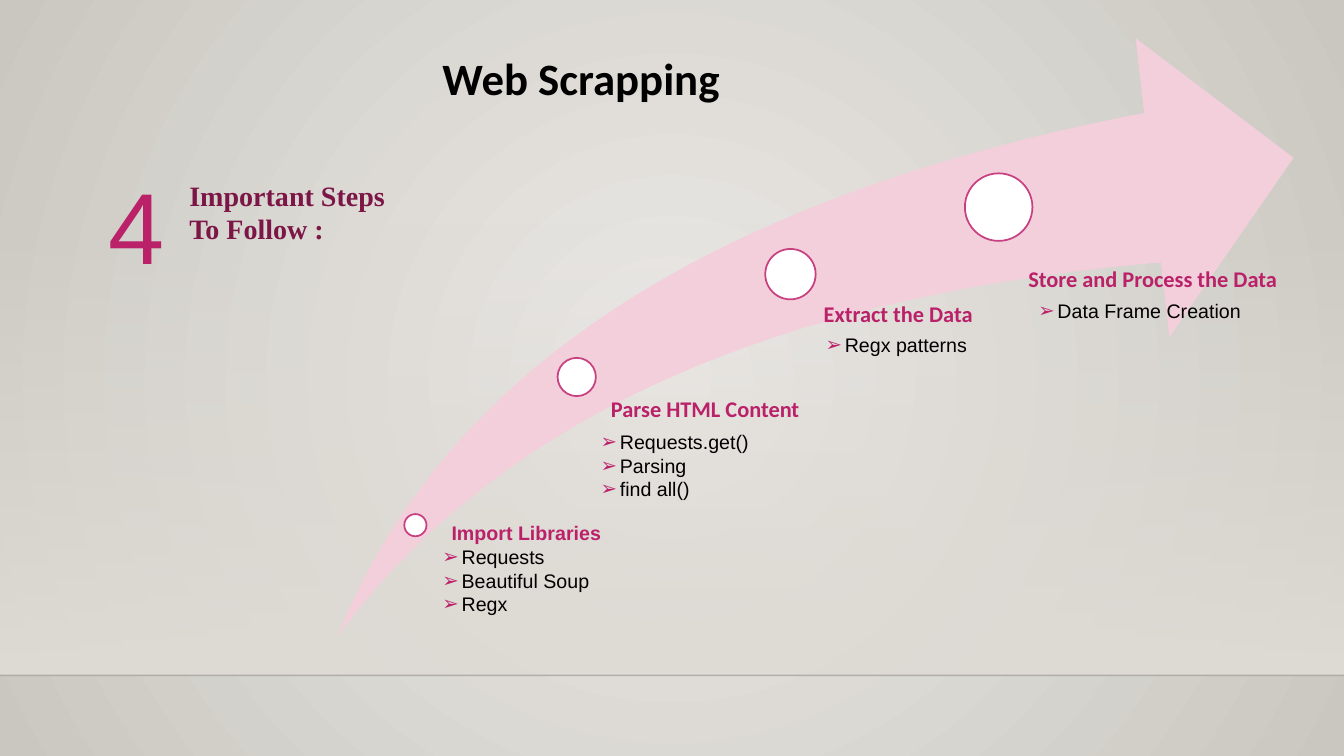
from lxml import etree
from pptx import Presentation
from pptx.dml.color import RGBColor
from pptx.enum.shapes import MSO_CONNECTOR, MSO_SHAPE
from pptx.enum.text import MSO_AUTO_SIZE
from pptx.oxml.ns import qn
from pptx.util import Inches, Pt

RECT, OVAL, SWOOSH = MSO_SHAPE.RECTANGLE, MSO_SHAPE.OVAL, MSO_SHAPE.SWOOSH_ARROW
STRAIGHT = MSO_CONNECTOR.STRAIGHT
GROW = MSO_AUTO_SIZE.SHAPE_TO_FIT_TEXT
W, H = 13.33, 7.5
FLOOR_Y = 6.7
PINK, WINE, BLACK = "BA2169", "7C1646", "000000"

# text box, lines, size, font, colour, bold
LABELS = [
    ((4.29, 0.45, 4.83, 0.64), ["Web Scrapping"], 32, "Calibri", BLACK, True),
    ((0.98, 1.57, 0.99, 2.52), ["4"], 72, "Arial", PINK, False),
    ((1.78, 1.72, 2.83, 1.11), ["Important Steps", "To Follow :"],
     20, "Times New Roman", WINE, True),
]

# dot (left, top, diameter); heading, its box, size, font, left inset; items, their box
STEPS = [
    ((4.01, 5.1, 0.22),
     ("Import Libraries", (4.38, 5.12, 2.25, 0.81), 14, "Arial", None),
     (["Requests", "Beautiful Soup", "Regx"], (4.29, 5.36, 2, 1.28))),
    ((5.53, 3.55, 0.38),
     ("Parse HTML Content", (5.86, 3.95, 3.09, 0.7), 16, "Calibri", 0.2),
     (["Requests.get()", "Parsing", "find all()"], (5.86, 4.22, 2.03, 1.04))),
    ((7.59, 2.47, 0.5),
     ("Extract the Data", (7.9, 3.01, 3.24, 1.09), 16, "Calibri", 0.27),
     (["Regx patterns"], (8.09, 3.25, 1.79, 0.34))),
    ((9.57, 1.72, 0.67),
     ("Store and Process the Data", (9.84, 2.66, 3.35, 1.65), 16, "Calibri", 0.36),
     (["Data Frame Creation"], (10.2, 2.92, 2.26, 0.34))),
]


def rgb(value):
    return RGBColor.from_string(value)


def inches(box):
    return [Inches(v) for v in box]


def set_alpha(clr, percent):
    etree.SubElement(clr, qn("a:alpha")).set("val", str(percent * 1000))


def set_gradient(fill, colors):
    fill.gradient()
    for stop, color, position in zip(fill.gradient_stops, colors, (0, 1)):
        stop.color.rgb = rgb(color)
        stop.position = position


def add_shape(kind, box, fill=None, line=None):
    sp = slide.shapes.add_shape(kind, *inches(box))
    sp.shadow.inherit = False
    if fill:
        sp.fill.solid()
        sp.fill.fore_color.rgb = rgb(fill)
    if line:
        sp.line.color.rgb = rgb(line)
        sp.line.width = Pt(1.25)
    else:
        sp.line.fill.background()
    return sp


def add_bullet(p):
    """Hang the paragraph on a pink arrow bullet."""
    pPr = p._p.get_or_add_pPr()
    pPr.set("marL", str(Inches(0.19)))
    pPr.set("indent", str(-Inches(0.19)))
    clr = etree.SubElement(pPr, qn("a:buClr"))
    etree.SubElement(clr, qn("a:srgbClr")).set("val", PINK)
    etree.SubElement(pPr, qn("a:buFont")).set("typeface", "Arial")
    etree.SubElement(pPr, qn("a:buChar")).set("char", "➢")


def add_text(box, lines, size, font, color, bold=False, bullets=False, inset=None):
    """Add a text box; a given left inset sets the other margins to zero."""
    tf = slide.shapes.add_textbox(*inches(box)).text_frame
    tf.word_wrap = True
    if inset is None:
        tf.auto_size = GROW
    else:
        tf.margin_left = Inches(inset)
        tf.margin_top = tf.margin_right = tf.margin_bottom = 0
    for i, line in enumerate(lines):
        p = tf.add_paragraph() if i else tf.paragraphs[0]
        if inset is not None:
            p.line_spacing = 0.9
        if bullets:
            add_bullet(p)
        r = p.add_run()
        r.text = line
        r.font.size = Pt(size)
        r.font.name = font
        r.font.bold = bold
        r.font.color.rgb = rgb(color)


def add_backdrop():
    """Radial background, a haze fading in towards the floor, and the floor line."""
    set_gradient(slide.background.fill, ("ECEAE7", "CAC7C1"))
    grad = slide._element.find(".//" + qn("a:gradFill"))
    grad.remove(grad.find(qn("a:lin")))
    radial = etree.SubElement(grad, qn("a:path"))
    radial.set("path", "circle")
    center = etree.SubElement(radial, qn("a:fillToRect"))
    for side in "ltrb":
        center.set(side, "50000")

    haze = add_shape(RECT, (0, 2.21, W, FLOOR_Y - 2.21))
    set_gradient(haze.fill, ("DFDBD5", "DFDBD5"))
    haze.fill.gradient_angle = 270
    set_alpha(haze._element.find(".//" + qn("a:srgbClr")), 0)

    floor = slide.shapes.add_connector(STRAIGHT, *inches((0, FLOOR_Y, W, FLOOR_Y)))
    floor.line.color.rgb = rgb("000001")
    floor.line.width = Pt(1)
    set_alpha(floor._element.find(".//" + qn("a:srgbClr")), 20)
    etree.SubElement(floor._element.spPr, qn("a:effectLst"))


prs = Presentation()
prs.slide_width, prs.slide_height = inches((W, H))
slide = prs.slides.add_slide(prs.slide_layouts[6])

add_backdrop()
swoosh = add_shape(SWOOSH, (3.35, 0.38, 9.48, 5.93), "F2CFDB")
swoosh.adjustments[0] = swoosh.adjustments[1] = 0.25

for (x, y, d), (heading, box, size, font, inset), (items, items_box) in STEPS:
    add_shape(OVAL, (x, y, d, d), "FFFFFF", "C94081")
    add_text(box, [heading], size, font, PINK, bold=True, inset=inset)
    add_text(items_box, items, 14, "Arial", BLACK, bullets=True)

for label in LABELS:
    add_text(*label)

prs.save("out.pptx")
